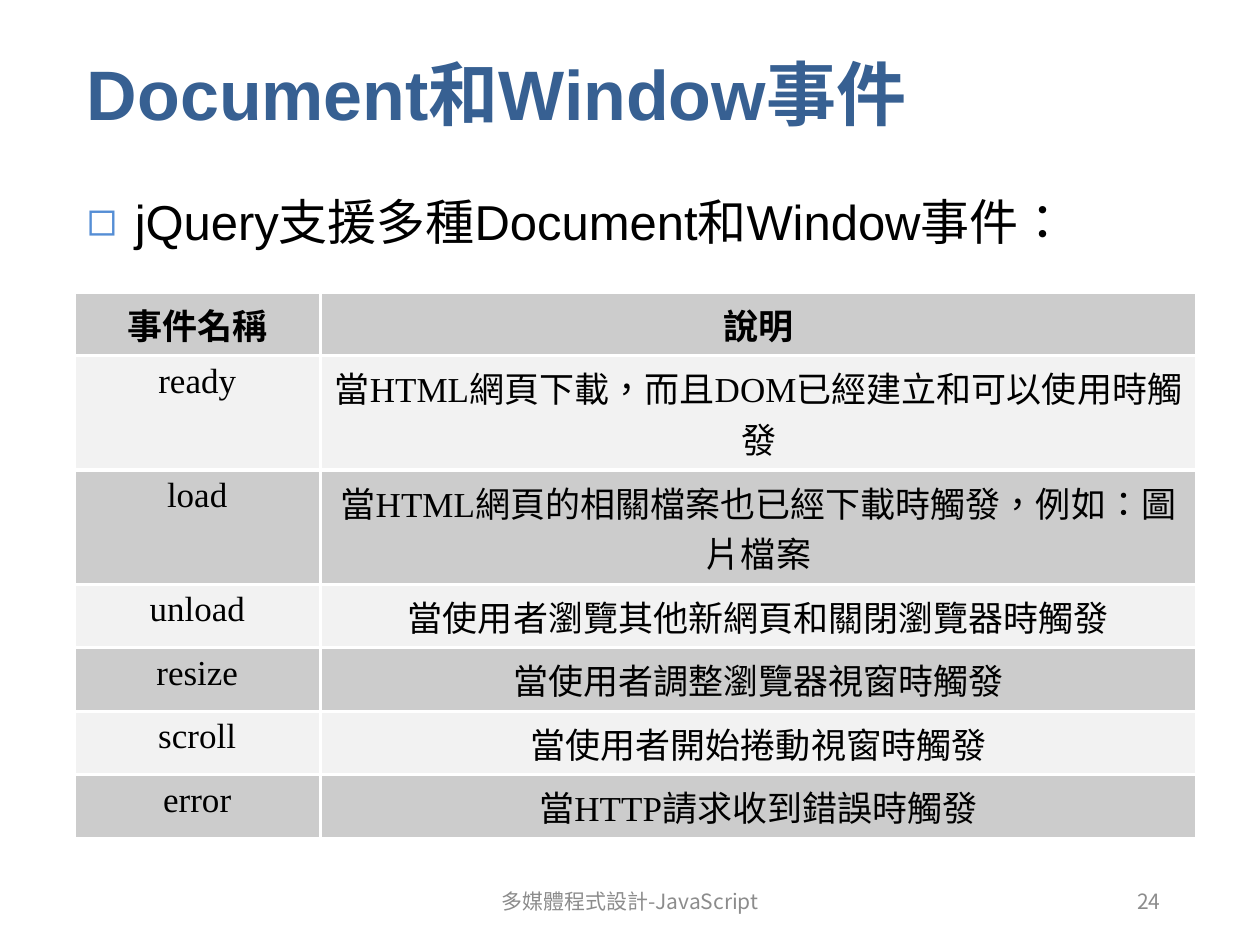
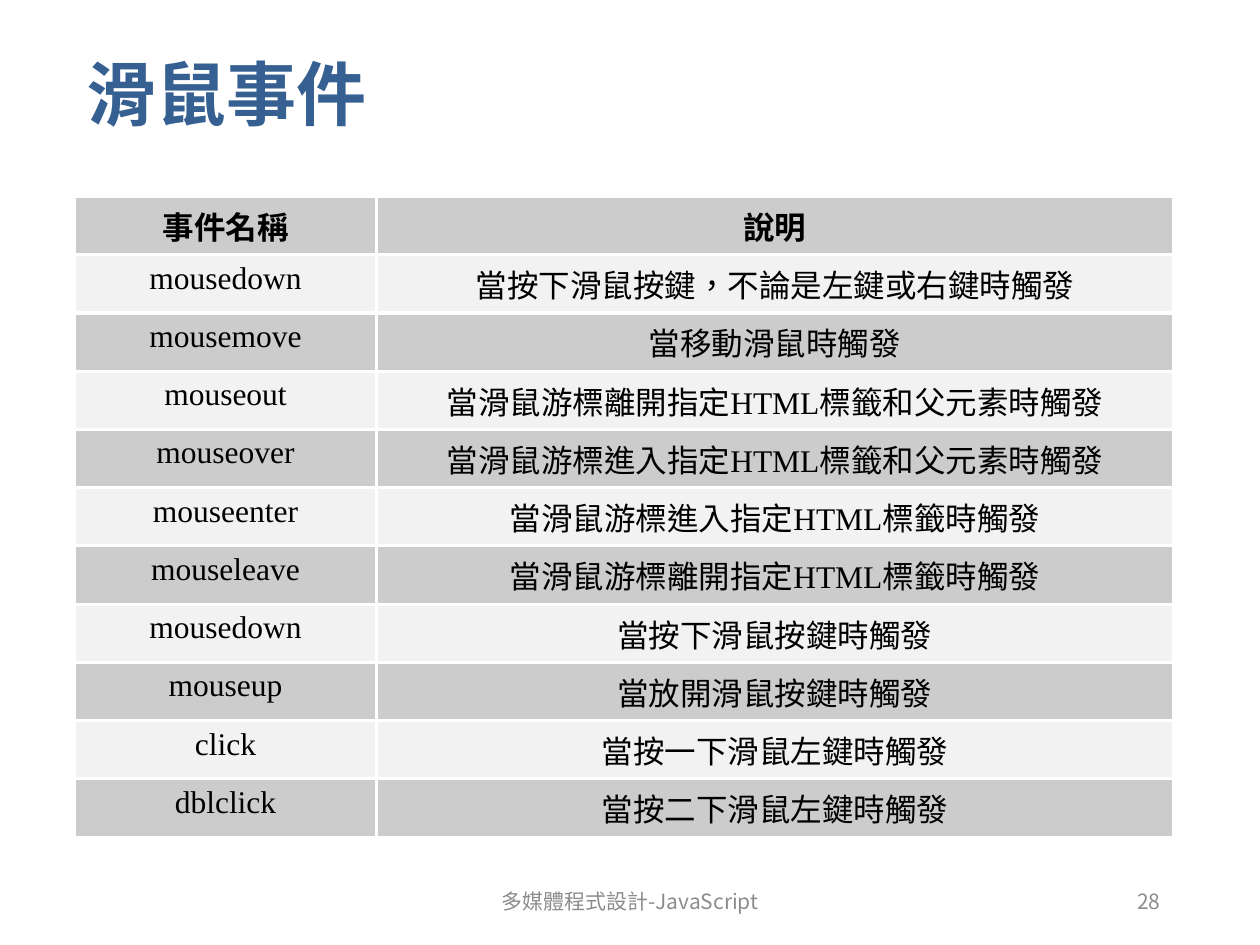
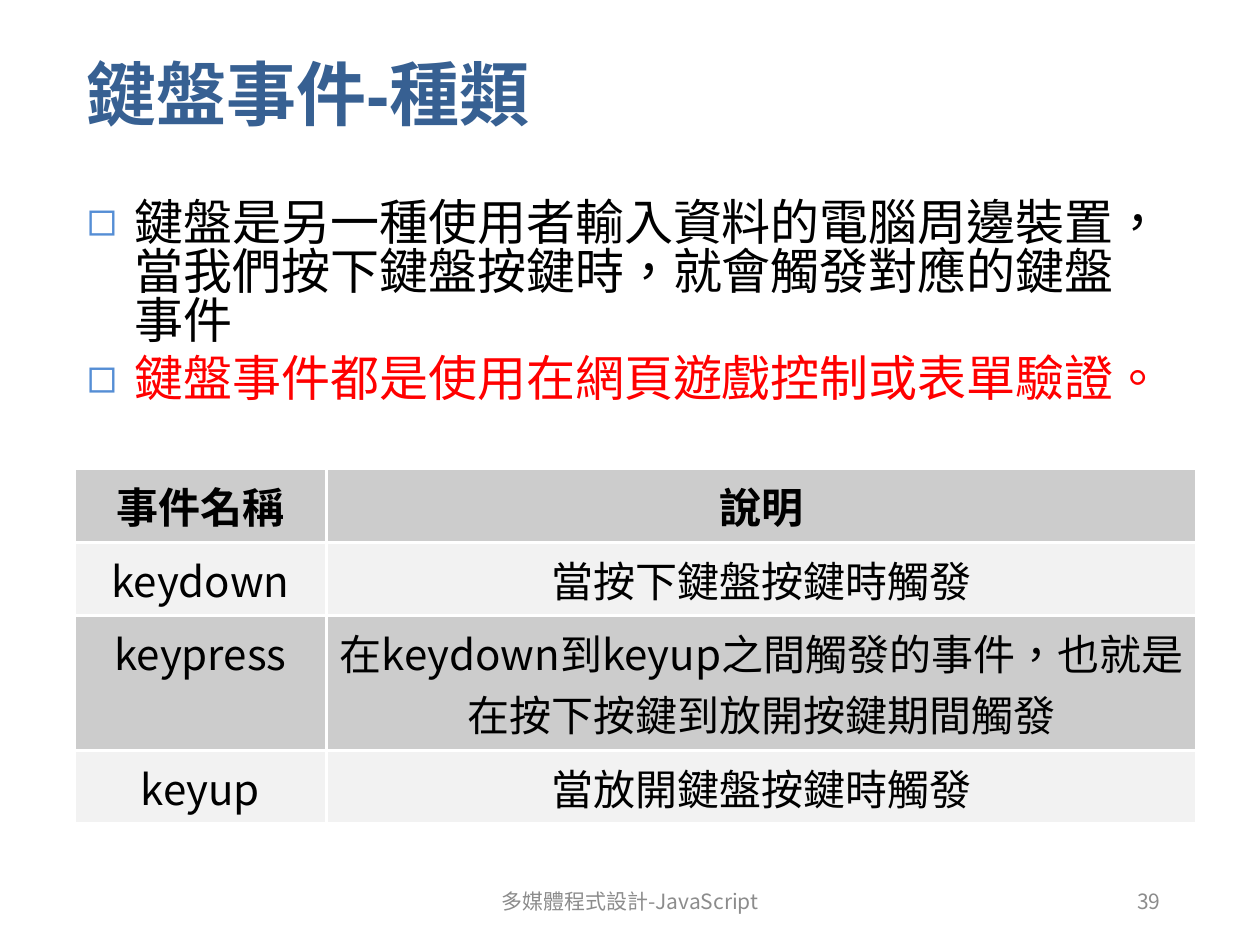
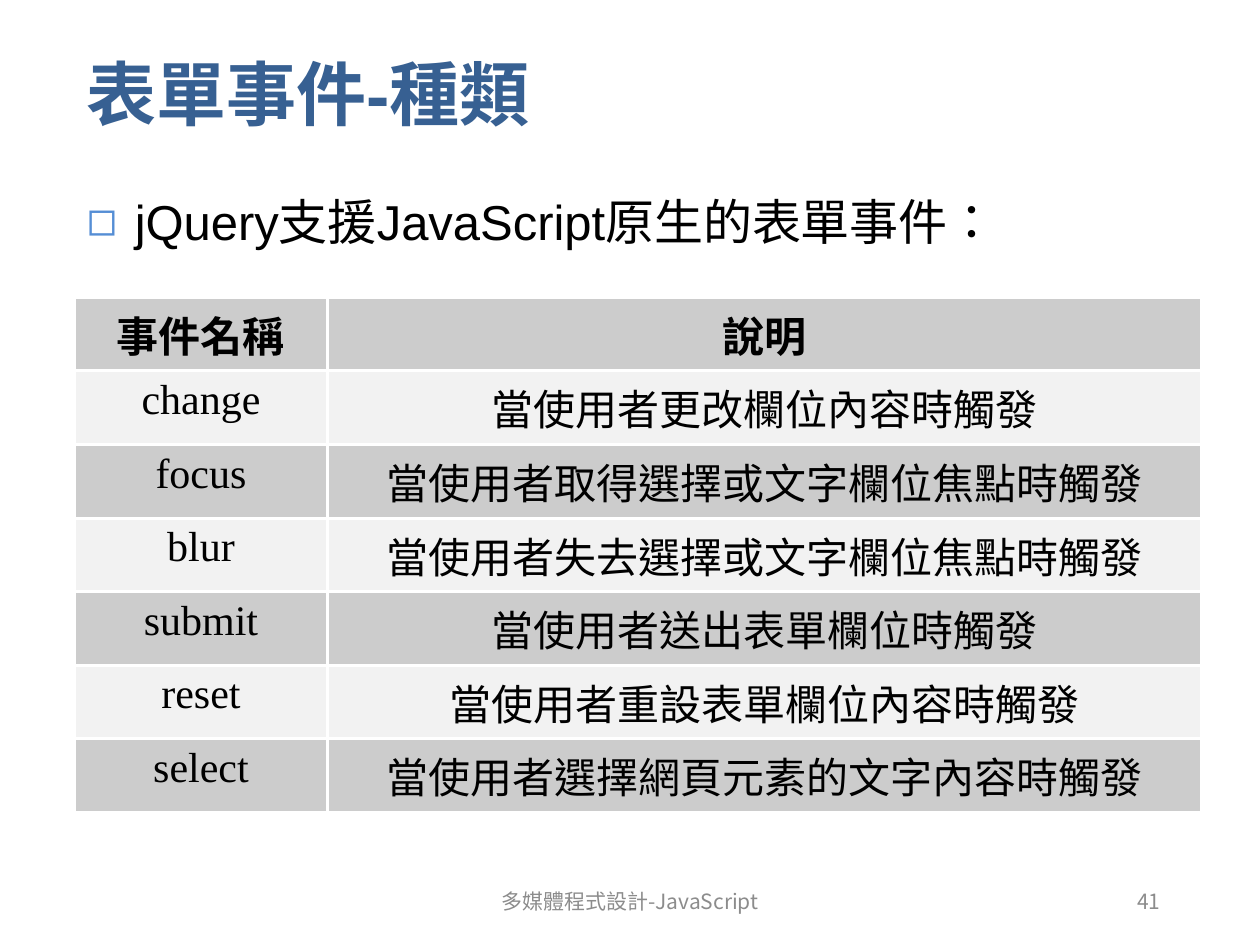
from lxml.etree import SubElement
from pptx import Presentation
from pptx.dml.color import RGBColor
from pptx.enum.lang import MSO_LANGUAGE_ID as Lang
from pptx.enum.text import MSO_ANCHOR as Anchor, MSO_AUTO_SIZE as AutoSize, PP_ALIGN as Align
from pptx.oxml.ns import qn
from pptx.util import Inches, Pt

COLORS = {
    "title": "376092", "text": "000000", "alert": "FF0000", "bullet": "558ED5",
    "footer": "8C8C8C", "dark_row": "CCCCCC", "light_row": "F2F2F2", "border": "FFFFFF",
}
SANS, SERIF, CJK = "Arial", "Times New Roman", "Noto Sans CJK KR"
FOOTER = "多媒體程式設計-JavaScript"
HEADER = ("事件名稱", "說明")

# Shared grid, in inches
LEFT, WIDTH = 0.59, 8.72
TITLE_BOX = (LEFT, 0.05, WIDTH, 1.37)
BODY_BOX = (LEFT, 1.55, WIDTH, 5.28)
FOOTER_BOX = (3.31, 6.95, 3.38, 0.4)
NUMBER_BOX = (7.06, 6.95, 2.25, 0.4)
INDENT = 0.38

PAGES = [
    {
        "title": "Document和Window事件", "number": 24,
        "bullets": [("jQuery支援多種Document和Window事件：", "text")],
        "top": 2.32, "columns": (1.95, 6.96), "row": 0.45, "tall": {1: 0.75, 2: 0.75},
        "font": SERIF, "size": 20,
        "events": [
            ("ready", "當HTML網頁下載，而且DOM已經建立和可以使用時觸發"),
            ("load", "當HTML網頁的相關檔案也已經下載時觸發，例如：圖片檔案"),
            ("unload", "當使用者瀏覽其他新網頁和關閉瀏覽器時觸發"),
            ("resize", "當使用者調整瀏覽器視窗時觸發"),
            ("scroll", "當使用者開始捲動視窗時觸發"),
            ("error", "當HTTP請求收到錯誤時觸發"),
        ],
    },
    {
        "title": "滑鼠事件", "number": 28, "bullets": [],
        "top": 1.56, "columns": (2.4, 6.32), "row": 0.45, "tall": {},
        "font": SERIF, "size": 18,
        "events": [
            ("mousedown", "當按下滑鼠按鍵，不論是左鍵或右鍵時觸發"),
            ("mousemove", "當移動滑鼠時觸發"),
            ("mouseout", "當滑鼠游標離開指定HTML標籤和父元素時觸發"),
            ("mouseover", "當滑鼠游標進入指定HTML標籤和父元素時觸發"),
            ("mouseenter", "當滑鼠游標進入指定HTML標籤時觸發"),
            ("mouseleave", "當滑鼠游標離開指定HTML標籤時觸發"),
            ("mousedown", "當按下滑鼠按鍵時觸發"),
            ("mouseup", "當放開滑鼠按鍵時觸發"),
            ("click", "當按一下滑鼠左鍵時觸發"),
            ("dblclick", "當按二下滑鼠左鍵時觸發"),
        ],
    },
    {
        "title": "鍵盤事件-種類", "number": 39,
        "bullets": [
            ("鍵盤是另一種使用者輸入資料的電腦周邊裝置，當我們按下鍵盤按鍵時，"
             "就會觸發對應的鍵盤事件", "text"),
            ("鍵盤事件都是使用在網頁遊戲控制或表單驗證。", "alert"),
        ],
        "top": 3.72, "columns": (2, 6.91), "row": 0.58, "tall": {2: 0.97},
        "font": CJK, "size": 24,
        "events": [
            ("keydown", "當按下鍵盤按鍵時觸發"),
            ("keypress", "在keydown到keyup之間觸發的事件，也就是在按下按鍵到放開按鍵期間觸發"),
            ("keyup", "當放開鍵盤按鍵時觸發"),
        ],
    },
    {
        "title": "表單事件-種類", "number": 41,
        "bullets": [("jQuery支援JavaScript原生的表單事件：", "text")],
        "top": 2.36, "columns": (2.01, 6.94), "row": 0.54, "tall": {},
        "font": SERIF, "size": 24,
        "events": [
            ("change", "當使用者更改欄位內容時觸發"),
            ("focus", "當使用者取得選擇或文字欄位焦點時觸發"),
            ("blur", "當使用者失去選擇或文字欄位焦點時觸發"),
            ("submit", "當使用者送出表單欄位時觸發"),
            ("reset", "當使用者重設表單欄位內容時觸發"),
            ("select", "當使用者選擇網頁元素的文字內容時觸發"),
        ],
    },
]


def rgb(name):
    return RGBColor.from_string(COLORS[name])


def write(para, text, font_name, size, color, bold=False, align=Align.LEFT):
    para.text = text
    para.alignment = align
    font = para.font
    font.name, font.size, font.bold = font_name, Pt(size), bold
    font.color.rgb = rgb(color)
    font.language_id = Lang.TRADITIONAL_CHINESE
    latin = font._element.find(qn("a:latin"))
    east_asian = SubElement(font._element, qn("a:ea"), typeface=CJK)
    latin.addnext(east_asian)


def place(shape, box):
    shape.left, shape.top, shape.width, shape.height = map(Inches, box)


def add_bullet(para):
    props = para._p.get_or_add_pPr()
    props.set("marL", str(Inches(INDENT)))
    props.set("indent", str(-Inches(INDENT)))
    bullet_color = SubElement(props, qn("a:buClr"))
    SubElement(bullet_color, qn("a:srgbClr"), val=COLORS["bullet"])
    bullet = SubElement(props, qn("a:buChar"), char="◻")
    default_font = props.find(qn("a:defRPr"))
    default_font.addprevious(bullet_color)
    default_font.addprevious(bullet)


def fill_title(page, text):
    title = page.shapes.title
    place(title, TITLE_BOX)
    frame = title.text_frame
    frame.vertical_anchor, frame.auto_size = Anchor.MIDDLE, AutoSize.NONE
    write(frame.paragraphs[0], text, SANS, 40, "title", bold=True)


def fill_body(page, bullets):
    body = page.placeholders[1]
    place(body, BODY_BOX)
    frame = body.text_frame
    frame.auto_size = AutoSize.NONE
    for index, (text, color) in enumerate(bullets):
        para = frame.add_paragraph() if index else frame.paragraphs[0]
        write(para, text, SANS, 28, color)
        para.line_spacing, para.space_before = 0.83, Pt(5.6)
        add_bullet(para)


def add_borders(cell):
    props = cell._tc.get_or_add_tcPr()
    for side in ("lnL", "lnR", "lnT", "lnB"):
        line = SubElement(props, qn(f"a:{side}"), w=str(Pt(2)))
        fill = SubElement(line, qn("a:solidFill"))
        SubElement(fill, qn("a:srgbClr"), val=COLORS["border"])


def add_event_table(page, content):
    rows = [HEADER, *content["events"]]
    columns = content["columns"]
    heights = [content["tall"].get(index, content["row"]) for index in range(len(rows))]
    box = (LEFT, content["top"], sum(columns), sum(heights))
    table = page.shapes.add_table(len(rows), len(columns), *map(Inches, box)).table
    for column, width in zip(table.columns, columns):
        column.width = Inches(width)
    for index, (row, height, texts) in enumerate(zip(table.rows, heights, rows)):
        row.height = Inches(height)
        for cell, text in zip(row.cells, texts):
            add_borders(cell)
            cell.fill.solid()
            cell.fill.fore_color.rgb = rgb("light_row" if index % 2 else "dark_row")
            write(cell.text_frame.paragraphs[0], text, content["font"], content["size"],
                  "text", bold=index == 0, align=Align.CENTER)


def add_footer(page, number):
    for box, text, align in ((FOOTER_BOX, FOOTER, Align.CENTER),
                             (NUMBER_BOX, str(number), Align.RIGHT)):
        frame = page.shapes.add_textbox(*map(Inches, box)).text_frame
        frame.word_wrap, frame.vertical_anchor = True, Anchor.MIDDLE
        write(frame.paragraphs[0], text, CJK, 12, "footer", align=align)


def main():
    deck = Presentation()
    deck.slide_width, deck.slide_height = Inches(10), Inches(7.5)
    with_body, title_only = deck.slide_layouts[1], deck.slide_layouts[5]
    for content in PAGES:
        page = deck.slides.add_slide(with_body if content["bullets"] else title_only)
        fill_title(page, content["title"])
        if content["bullets"]:
            fill_body(page, content["bullets"])
        add_event_table(page, content)
        add_footer(page, content["number"])
    deck.save("out.pptx")


if __name__ == "__main__":
    main()
